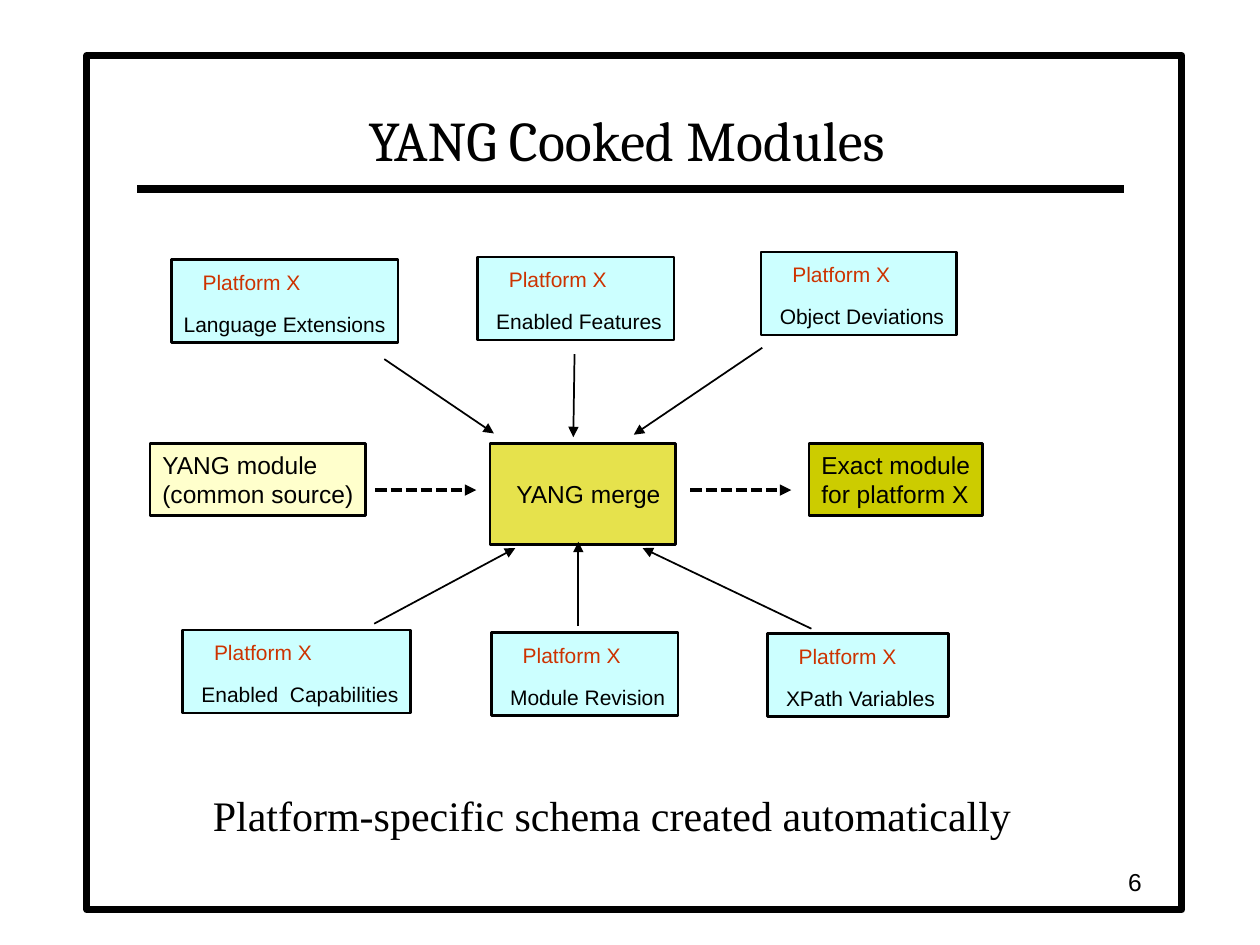
from dataclasses import dataclass

from lxml import etree
from pptx import Presentation
from pptx.dml.color import RGBColor
from pptx.enum.dml import MSO_LINE
from pptx.enum.shapes import MSO_CONNECTOR, MSO_SHAPE
from pptx.enum.text import MSO_ANCHOR, PP_ALIGN
from pptx.oxml.ns import qn
from pptx.util import Inches, Pt

RECT = MSO_SHAPE.RECTANGLE
LINE = MSO_CONNECTOR.STRAIGHT
DASH = MSO_LINE.SQUARE_DOT
TOP, MIDDLE, BOTTOM = MSO_ANCHOR.TOP, MSO_ANCHOR.MIDDLE, MSO_ANCHOR.BOTTOM
LEFT, CENTER, RIGHT = PP_ALIGN.LEFT, PP_ALIGN.CENTER, PP_ALIGN.RIGHT


@dataclass(frozen=True)
class Theme:
    black: str = "000000"
    red: str = "CC3300"
    input: str = "CCFFFF"
    source: str = "FFFFCC"
    merge: str = "E6E24C"
    result: str = "CCCC00"
    title: int = 32
    note: int = 24
    body: int = 14
    small: int = 12
    head: str = "Cambria"
    serif: str = "Times New Roman"
    sans: str = "Arial"


THEME = Theme()

# Left, top, width, label, label indent
INPUTS = [
    (1.36, 2.06, 1.8, "Language Extensions", 0),
    (3.79, 2.04, 1.56, "Enabled Features", 0.05),
    (6.04, 2, 1.55, "Object Deviations", 0.05),
    (1.45, 5, 1.81, "Enabled  Capabilities", 0.05),
    (3.9, 5.02, 1.48, "Module Revision", 0.05),
    (6.09, 5.03, 1.44, "XPath Variables", 0.05),
]

# Left, width, height, fill, text, indent
STAGES = [
    (1.19, 1.71, 0.57, THEME.source, "YANG module\v(common source)", 0),
    (3.89, 1.47, 0.8, THEME.merge, "YANG merge", 0.11),
    (6.42, 1.38, 0.57, THEME.result, "Exact module\vfor platform X", 0),
]

# Start and tip of each arrow
FEEDS = [
    ((3.05, 2.85), (3.92, 3.44)),
    ((4.56, 2.81), (4.55, 3.47)),
    ((6.05, 2.76), (5.03, 3.45)),
    ((2.97, 4.95), (4.09, 4.35)),
    ((4.59, 4.97), (4.59, 4.3)),
    ((6.44, 4.99), (5.1, 4.35)),
]
FLOWS = [((2.98, 3.89), (3.78, 3.89)), ((5.48, 3.89), (6.28, 3.89))]


def rgb(code):
    return RGBColor.from_string(code)


def style(item, **values):
    for name, value in values.items():
        setattr(item, name, value)


def write(para, text, size, font=THEME.sans, color=THEME.black,
          align=LEFT, indent=0):
    para.text = text
    para.alignment = align
    if indent:
        para._p.get_or_add_pPr().set("marL", str(Inches(indent)))
    for run in para.runs:
        style(run.font, size=Pt(size), name=font)
        run.font.color.rgb = rgb(color)


def box(slide, left, top, width, height, fill=None, weight=1.5):
    shape = slide.shapes.add_shape(
        RECT, Inches(left), Inches(top), Inches(width), Inches(height))
    shape.shadow.inherit = False
    if fill:
        shape.fill.solid()
        shape.fill.fore_color.rgb = rgb(fill)
    else:
        shape.fill.background()
    shape.line.color.rgb = rgb(THEME.black)
    shape.line.width = Pt(weight)
    return shape


def source(slide, left, top, width, label, indent):
    """Add an input box: red platform line above its label."""
    frame = box(slide, left, top, width, 0.66, THEME.input).text_frame
    style(frame, word_wrap=False, vertical_anchor=BOTTOM)
    write(frame.paragraphs[0], "Platform X", THEME.small,
          color=THEME.red, indent=0.15)
    para = frame.add_paragraph()
    write(para, label, THEME.small, indent=indent)
    para.space_before = Pt(9.5)


def stage(slide, left, width, height, fill, text, indent):
    frame = box(slide, left, 3.52, width, height, fill).text_frame
    style(frame, word_wrap=False, vertical_anchor=MIDDLE)
    write(frame.paragraphs[0], text, THEME.body, indent=indent)


def line(slide, start, end, weight, dash=None, arrow=True):
    ends = [Inches(value) for value in (*start, *end)]
    link = slide.shapes.add_connector(LINE, *ends)
    link.line.color.rgb = rgb(THEME.black)
    style(link.line, width=Pt(weight), dash_style=dash)
    if arrow:
        tip = etree.SubElement(link.line._get_or_add_ln(), qn("a:tailEnd"))
        tip.set("type", "triangle")
    etree.SubElement(link._element.spPr, qn("a:effectLst"))


def note(slide, left, top, width, height, text, size, anchor=TOP, **look):
    shape = slide.shapes.add_textbox(
        Inches(left), Inches(top), Inches(width), Inches(height))
    style(shape.text_frame, word_wrap=True, vertical_anchor=anchor)
    write(shape.text_frame.paragraphs[0], text, size, **look)


def title(slide, text):
    shape = slide.shapes.title
    style(shape, left=Inches(1.08), top=Inches(0.5),
          width=Inches(7.79), height=Inches(0.92))
    shape.text_frame.vertical_anchor = BOTTOM
    write(shape.text_frame.paragraphs[0], text, THEME.title,
          font=THEME.head, align=CENTER)


def main():
    deck = Presentation()
    style(deck, slide_width=Inches(10), slide_height=Inches(7.5))
    slide = deck.slides.add_slide(deck.slide_layouts[5])

    box(slide, 0.69, 0.44, 8.69, 6.78, weight=4)
    line(slide, (1.09, 1.5), (8.92, 1.5), 4.5, arrow=False)
    title(slide, "YANG Cooked Modules")

    for item in INPUTS:
        source(slide, *item)
    for item in STAGES:
        stage(slide, *item)
    for start, tip in FEEDS:
        line(slide, start, tip, 1)
    for start, tip in FLOWS:
        line(slide, start, tip, 2.15, DASH)

    note(slide, 1.59, 6.22, 6.55, 0.5,
         "Platform-specific schema created automatically",
         THEME.note, font=THEME.serif)
    note(slide, 7.08, 6.83, 2.08, 0.33, "6", THEME.body, MIDDLE, align=RIGHT)
    deck.save("out.pptx")


if __name__ == "__main__":
    main()
